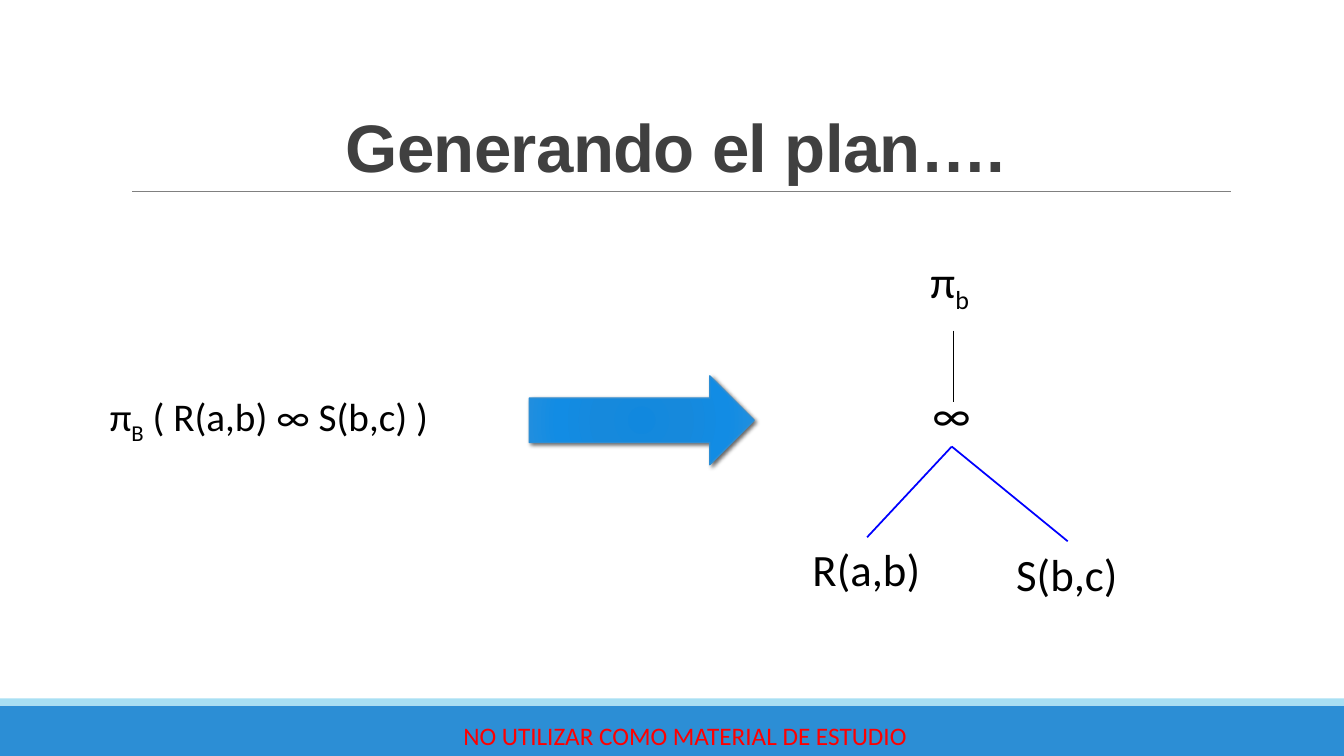
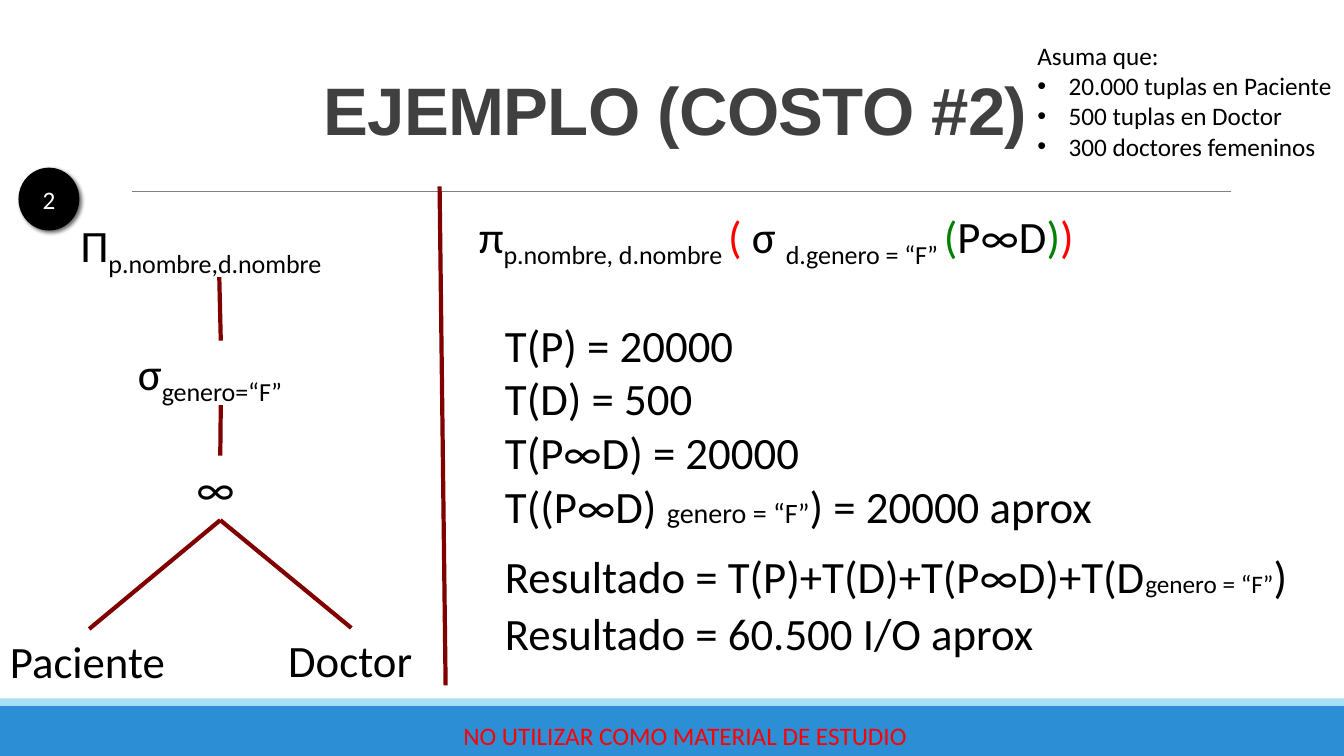
from dataclasses import dataclass

from lxml import etree
from pptx import Presentation
from pptx.dml.color import RGBColor
from pptx.enum import shapes, text
from pptx.oxml import parse_xml
from pptx.oxml.ns import nsdecls, qn
from pptx.util import Inches, Pt

BLACK, WHITE, RED, GREEN = "000000", "FFFFFF", "FF0000", "008000"
BLUE, MAROON, GRAY, TITLE_GRAY = "0000FF", "800000", "808080", "404040"
BAND, BAND_EDGE = "2C8ED5", "A8DFF3"
ARROW_STOPS = ((0, "1188DE"), (34, "1689DC"), (70, "128CE4"), (100, "248FDD"))
CENTER = text.PP_ALIGN.CENTER
MIDDLE = text.MSO_ANCHOR.MIDDLE
TOP, BOTTOM = 0, 2  # connection sites of a rectangle


@dataclass
class Span:
    text: str
    color: str = ""
    size: float = 0
    sub: bool = False


@dataclass
class Line:
    spans: list[Span]
    bullet: bool = False
    before: float = 0


@dataclass
class Label:
    """A text box: its place, lines and default size."""
    at: tuple[float, float, float, float]
    lines: list[Line]
    size: float = 32
    wrap: bool = False


def rgb(color: str) -> RGBColor:
    return RGBColor.from_string(color)


def plain(words: str) -> Line:
    return Line([Span(words)])


def sub(words: str) -> Span:
    return Span(words, sub=True)


def place(shape, at: tuple) -> None:
    shape.left, shape.top, shape.width, shape.height = map(Inches, at)


# Text
def add_bullet(para) -> None:
    props = para._p.get_or_add_pPr()
    props.set("marL", str(Inches(0.31)))
    props.set("indent", str(Inches(-0.31)))
    font = parse_xml(f'<a:buFont {nsdecls("a")} typeface="Arial"/>')
    char = parse_xml(f'<a:buChar {nsdecls("a")} char="•"/>')
    props.insert(0, font)
    font.addnext(char)


def write(frame, lines: list[Line], size: float, color: str = BLACK,
          align=text.PP_ALIGN.LEFT, face: str = "Calibri") -> None:
    for index, line in enumerate(lines):
        para = frame.add_paragraph() if index else frame.paragraphs[0]
        para.alignment = align
        para.space_before = Pt(line.before)
        para.font.name, para.font.size = face, Pt(size)
        para.font.color.rgb = rgb(color)
        if line.bullet:
            add_bullet(para)
        for item in line.spans:
            span = para.add_run()
            span.text = item.text
            if item.color:
                span.font.color.rgb = rgb(item.color)
            if item.size:
                span.font.size = Pt(item.size)
            if item.sub:
                span._r.get_or_add_rPr().set("baseline", "-25000")


def add_label(page, label: Label):
    box = page.shapes.add_textbox(*map(Inches, label.at))
    box.text_frame.word_wrap = label.wrap
    write(box.text_frame, label.lines, label.size)
    return box


# Shapes and lines
def add_shape(page, kind, at: tuple, fill: str, outline: str = ""):
    shape = page.shapes.add_shape(kind, *map(Inches, at))
    shape.fill.solid()
    shape.fill.fore_color.rgb = rgb(fill)
    if outline:
        shape.line.color.rgb = rgb(outline)
        shape.line.width = Pt(1)
    else:
        shape.line.fill.background()
    shape.shadow.inherit = False
    return shape


def add_shadow(shape) -> None:
    effects = shape._element.spPr.find(qn("a:effectLst"))
    effects.append(parse_xml(
        f'<a:outerShdw {nsdecls("a")} blurRad="{Pt(3)}" dist="{Pt(2)}" dir="2700000"'
        ' algn="ctr" rotWithShape="0"><a:srgbClr val="000000">'
        '<a:alpha val="60000"/></a:srgbClr></a:outerShdw>'))


def add_radial_fill(shape, stops: tuple) -> None:
    marks = "".join(f'<a:gs pos="{pos * 1000}"><a:srgbClr val="{color}"/></a:gs>'
                    for pos, color in stops)
    props = shape._element.spPr
    props.replace(props.find(qn("a:solidFill")), parse_xml(
        f'<a:gradFill {nsdecls("a")} rotWithShape="1"><a:gsLst>{marks}</a:gsLst>'
        '<a:path path="circle"><a:fillToRect l="100000" t="100000" r="100000"'
        ' b="100000"/></a:path></a:gradFill>'))


def add_line(page, start: tuple, end: tuple, color: str, width: float):
    line = page.shapes.add_connector(
        shapes.MSO_CONNECTOR.STRAIGHT, *map(Inches, (*start, *end)))
    line.line.color.rgb = rgb(color)
    line.line.width = Pt(width)
    etree.SubElement(line._element.spPr, qn("a:effectLst"))
    return line


def join(page, parent, child, color: str, width: float) -> None:
    """Link the bottom of one tree node to the top of the next."""
    line = add_line(page, (0, 0), (1, 1), color, width)
    line.begin_connect(parent, BOTTOM)
    line.end_connect(child, TOP)


# What the slides share
def add_page(deck, title: str, title_height: float):
    page = deck.slides.add_slide(deck.slide_layouts[5])
    rect = shapes.MSO_SHAPE.RECTANGLE
    add_shape(page, rect, (0, 7, 13.33, 0.5), BAND)
    add_shape(page, rect, (0, 6.93, 13.33, 0.07), BAND_EDGE)
    add_line(page, (1.31, 1.9), (12.21, 1.9), GRAY, 0.5)
    footer = page.shapes.add_textbox(*map(Inches, (4.16, 7.1, 5.27, 0.4)))
    footer.text_frame.word_wrap = True
    footer.text_frame.vertical_anchor = MIDDLE
    write(footer.text_frame, [plain("NO UTILIZAR COMO MATERIAL DE ESTUDIO")],
          18, RED, CENTER)

    heading = page.shapes.title
    place(heading, (1.2, 0.31, 11, title_height))
    frame = heading.text_frame
    frame.auto_size = text.MSO_AUTO_SIZE.NONE
    frame.vertical_anchor = text.MSO_ANCHOR.BOTTOM
    write(frame, [plain(title)], 48, TITLE_GRAY, CENTER, "Arial")
    para = frame.paragraphs[0]
    para.line_spacing = 0.85
    para.font.bold = True
    para.runs[0]._r.get_or_add_rPr().set("spc", "-50")
    return page


def build_plan(deck) -> None:
    page = add_page(deck, "Generando el plan….", 1.59)
    add_label(page, Label(
        (0.99, 3.84, 3.81, 0.88),
        [Line([Span("π"), sub("B"), Span(" ( R(a,b) ∞ S(b,c) )")])], 28, True))
    arrow = add_shape(page, shapes.MSO_SHAPE.RIGHT_ARROW,
                      (5.25, 3.73, 2.23, 0.88), BAND, BAND)
    add_radial_fill(arrow, ARROW_STOPS)
    add_shadow(arrow)

    # Expression tree
    nodes = (
        Label((9.13, 2.47, 0.61, 0.64), [Line([Span("π"), sub("b")])]),
        Label((9.15, 3.79, 0.58, 0.64), [plain("∞")]),
        Label((7.96, 5.33, 1.28, 0.64), [plain("R(a,b)")]),
        Label((9.98, 5.37, 1.22, 0.64), [plain("S(b,c)")]),
    )
    _, product, *leaves = [add_label(page, node) for node in nodes]
    add_line(page, (9.46, 3.28), (9.46, 3.99), BLACK, 0.5)
    for leaf in leaves:
        join(page, product, leaf, BLUE, 1.25)


def build_cost(deck) -> None:
    page = add_page(deck, "EJEMPLO (COSTO #2)", 1.22)
    add_line(page, (4.42, 6.8), (4.36, 1.85), MAROON, 3)

    # Expression tree
    nodes = (
        Label((0.7, 2.11, 2.95, 0.64), [Line([Span("Π"), sub("p.nombre,d.nombre")])]),
        Label((1.27, 3.38, 1.84, 0.64), [Line([Span("σ"), sub("genero=“F”")])]),
        Label((1.85, 4.52, 0.67, 0.64), [plain("∞")], wrap=True),
        Label((0, 6.24, 1.77, 0.64), [plain("Paciente")]),
        Label((2.76, 6.23, 1.45, 0.64), [plain("Doctor")]),
    )
    projection, selection, product, *leaves = [add_label(page, node) for node in nodes]
    projection.fill.solid()
    projection.fill.fore_color.rgb = rgb(WHITE)
    links = [(projection, selection), (selection, product)]
    links += [(product, leaf) for leaf in leaves]
    for parent, child in links:
        join(page, parent, child, MAROON, 3)

    # Numbered badge
    badge = add_shape(page, shapes.MSO_SHAPE.OVAL, (0.19, 1.67, 0.59, 0.61), BLACK, BLACK)
    add_shadow(badge)
    badge.text_frame.vertical_anchor = MIDDLE
    write(badge.text_frame, [plain("2")], 18, WHITE, CENTER)

    # Assumptions, formula and costs
    facts = ("20.000 tuplas en Paciente", "500 tuplas en Doctor", "300 doctores femeninos")
    assumptions = [plain("Asuma que:")]
    assumptions += [Line([Span(fact)], bullet=True) for fact in facts]
    formula = Line([
        Span("π"), sub("p.nombre, d.nombre "), Span("( ", RED), Span("σ "),
        sub("d.genero = “F” "), Span("(", GREEN), Span("P∞D"), Span(")", GREEN),
        Span(")", RED)])
    costs = [plain(cost) for cost in ("T(P) = 20000", "T(D) = 500", "T(P∞D) = 20000")]
    costs += [
        Line([Span("T((P∞D) "), Span("genero = “F”", size=20), Span(") = 20000 aprox")]),
        Line([Span("Resultado = T(P)+T(D)+T(P∞D)+T(D"),
              Span("genero = “F”", size=18), Span(")")], before=11.5),
        Line([Span("Resultado = 60.500 I/O aprox")], before=2),
    ]
    for label in (
        Label((10.19, 0.35, 3.15, 1.31), assumptions, 18),
        Label((4.65, 2.02, 8.39, 0.64), [formula], wrap=True),
        Label((4.91, 3.1, 8.11, 3.53), costs, wrap=True),
    ):
        add_label(page, label)


def main() -> None:
    deck = Presentation()
    deck.slide_width, deck.slide_height = Inches(13.33), Inches(7.5)
    build_plan(deck)
    build_cost(deck)
    deck.save("out.pptx")


if __name__ == "__main__":
    main()
